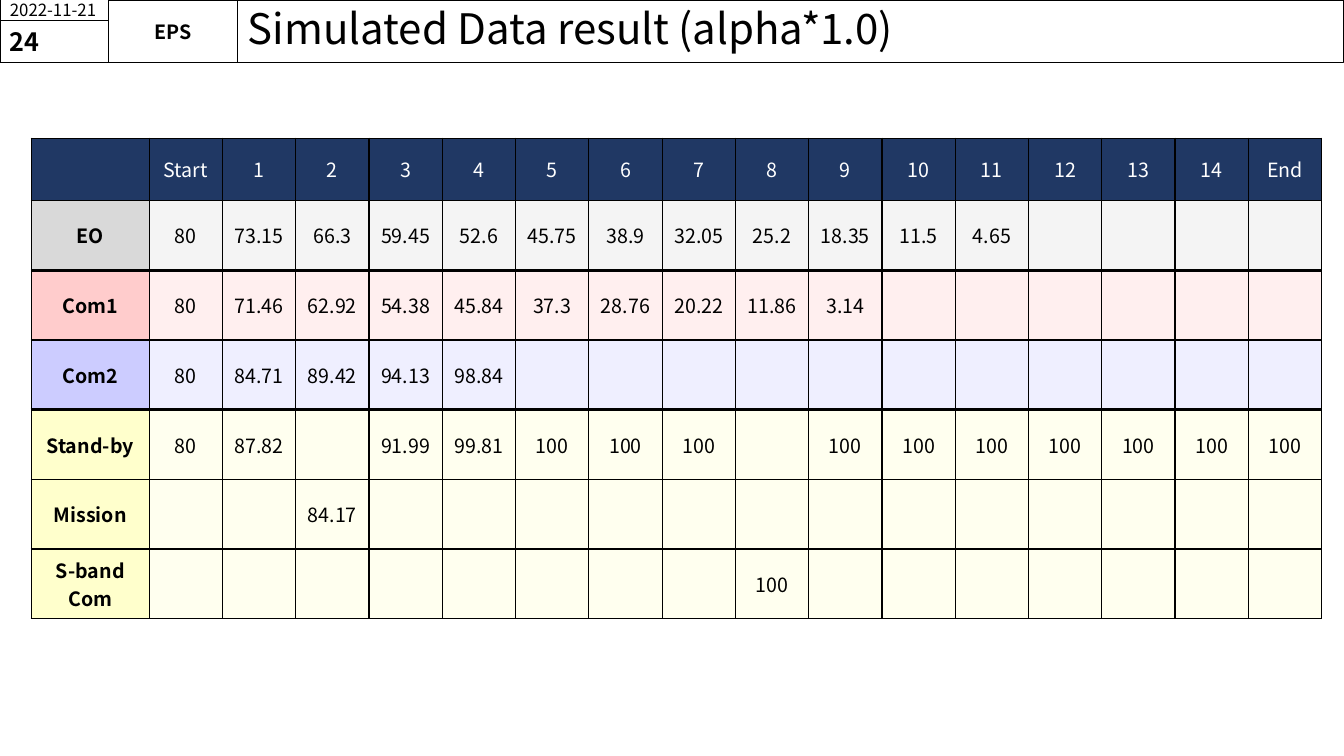
"""Build the simulated battery charge result slide."""
import lxml.etree
import pptx
import pptx.dml.color
import pptx.enum.shapes
import pptx.enum.text
import pptx.oxml.ns
import pptx.util

Inches = pptx.util.Inches
Pt = pptx.util.Pt
ALIGN = pptx.enum.text.PP_ALIGN

THEME = {
    "font": "Noto Sans CJK KR",
    "ink": "000000", "paper": "FFFFFF", "navy": "203864",
    "title": 30, "number": 18, "body": 14, "date": 12,
    "frame": 0.75, "thin": 1, "thick": 2.25, "tint": 30,
}

HEADER_BOXES = [
    ("Simulated Data result (alpha*1.0)", (2.36, 0, 10.97, 0.62), "title", False, ALIGN.LEFT),
    ("2022-11-21", (0, 0, 1.08, 0.2), "date", False, ALIGN.LEFT),
    ("EPS", (1.08, 0, 1.28, 0.62), "body", True, ALIGN.CENTER),
    ("24", (0, 0.2, 1.08, 0.42), "number", True, ALIGN.LEFT),
]

COLUMNS = ["", "Start"] + [str(orbit) for orbit in range(1, 15)] + ["End"]

MODES = [
    ("EO", "D9D9D9", "DBDBDB", ["80", "73.15", "66.3", "59.45", "52.6", "45.75", "38.9",
                                "32.05", "25.2", "18.35", "11.5", "4.65"]),
    ("Com1", "FFCCCC", "FFCCCC", ["80", "71.46", "62.92", "54.38", "45.84", "37.3", "28.76",
                                  "20.22", "11.86", "3.14"]),
    ("Com2", "CCCCFF", "CCCCFF", ["80", "84.71", "89.42", "94.13", "98.84"]),
    ("Stand-by", "FFFFCC", "FFFFCC", ["80", "87.82", "", "91.99", "99.81", "100", "100", "100",
                                      "", "100", "100", "100", "100", "100", "100", "100"]),
    ("Mission", "FFFFCC", "FFFFCC", ["", "", "84.17"]),
    ("S-band Com", "FFFFCC", "FFFFCC", ["", "", "", "", "", "", "", "", "100"]),
]
THICK_BELOW = {1, 2, 3}

TABLE_BOX = (0.31, 1.37, 12.8, 4.77)
LABEL_WIDTH = 1.17
HEADER_HEIGHT = 0.62


def color(value):
    return pptx.dml.color.RGBColor.from_string(value)


def write(text_frame, text, size, ink, bold, align):
    text_frame.text = text
    paragraph = text_frame.paragraphs[0]
    paragraph.alignment = align
    for run in paragraph.runs:
        run.font.name = THEME["font"]
        run.font.size = Pt(THEME[size])
        run.font.bold = bold
        run.font.color.rgb = color(THEME[ink])


def add_header_box(slide, text, box, size, bold, align):
    shape = slide.shapes.add_shape(pptx.enum.shapes.MSO_SHAPE.RECTANGLE, *map(Inches, box))
    shape.shadow.inherit = False
    shape.fill.background()
    shape.line.color.rgb = color(THEME["ink"])
    shape.line.width = Pt(THEME["frame"])
    frame = shape.text_frame
    frame.word_wrap = True
    frame.vertical_anchor = pptx.enum.text.MSO_ANCHOR.MIDDLE
    if align == ALIGN.CENTER:
        frame.margin_left = frame.margin_right = frame.margin_top = frame.margin_bottom = 0
    write(frame, text, size, "ink", bold, align)
    if size == "title":
        frame.paragraphs[0].line_spacing = 0.9


def add_child(parent, tag, **attributes):
    return lxml.etree.SubElement(parent, pptx.oxml.ns.qn(tag), **attributes)


def set_borders(cell, row):
    properties = cell._tc.get_or_add_tcPr()
    top = "thick" if row - 1 in THICK_BELOW else "thin"
    bottom = "thick" if row in THICK_BELOW else "thin"
    for side, weight in (("L", "thin"), ("R", "thin"), ("T", top), ("B", bottom)):
        line = add_child(properties, "a:ln" + side, w=str(Pt(THEME[weight])))
        add_child(add_child(line, "a:solidFill"), "a:srgbClr", val=THEME["ink"])


def fill_cell(cell, row, text, fill, ink="ink", bold=False, opacity=100):
    set_borders(cell, row)
    cell.fill.solid()
    cell.fill.fore_color.rgb = color(fill)
    if opacity < 100:
        solid_fill = cell._tc.tcPr.find(pptx.oxml.ns.qn("a:solidFill"))
        add_child(solid_fill[0], "a:alpha", val=str(opacity * 1000))
    cell.vertical_anchor = pptx.enum.text.MSO_ANCHOR.MIDDLE
    write(cell.text_frame, text, "body", ink, bold, ALIGN.CENTER)


def add_mode_table(slide):
    value_count = len(COLUMNS) - 1
    table = slide.shapes.add_table(len(MODES) + 1, len(COLUMNS), *map(Inches, TABLE_BOX)).table
    table.first_row = False
    table.horz_banding = False
    for index, column in enumerate(table.columns):
        column.width = Inches((TABLE_BOX[2] - LABEL_WIDTH) / value_count if index else LABEL_WIDTH)
    for index, row in enumerate(table.rows):
        row.height = Inches((TABLE_BOX[3] - HEADER_HEIGHT) / len(MODES) if index else HEADER_HEIGHT)
    for index, heading in enumerate(COLUMNS):
        fill_cell(table.cell(0, index), 0, heading, THEME["navy"], ink="paper")
    for row, (mode, label_fill, value_fill, values) in enumerate(MODES, start=1):
        fill_cell(table.cell(row, 0), row, mode, label_fill, bold=True)
        padded = values + [""] * (value_count - len(values))
        for index, value in enumerate(padded, start=1):
            fill_cell(table.cell(row, index), row, value, value_fill, opacity=THEME["tint"])


def main():
    presentation = pptx.Presentation()
    presentation.slide_width = Inches(13.33)
    presentation.slide_height = Inches(7.5)
    slide = presentation.slides.add_slide(presentation.slide_layouts[6])
    for header_box in HEADER_BOXES:
        add_header_box(slide, *header_box)
    add_mode_table(slide)
    presentation.save("out.pptx")


if __name__ == "__main__":
    main()
